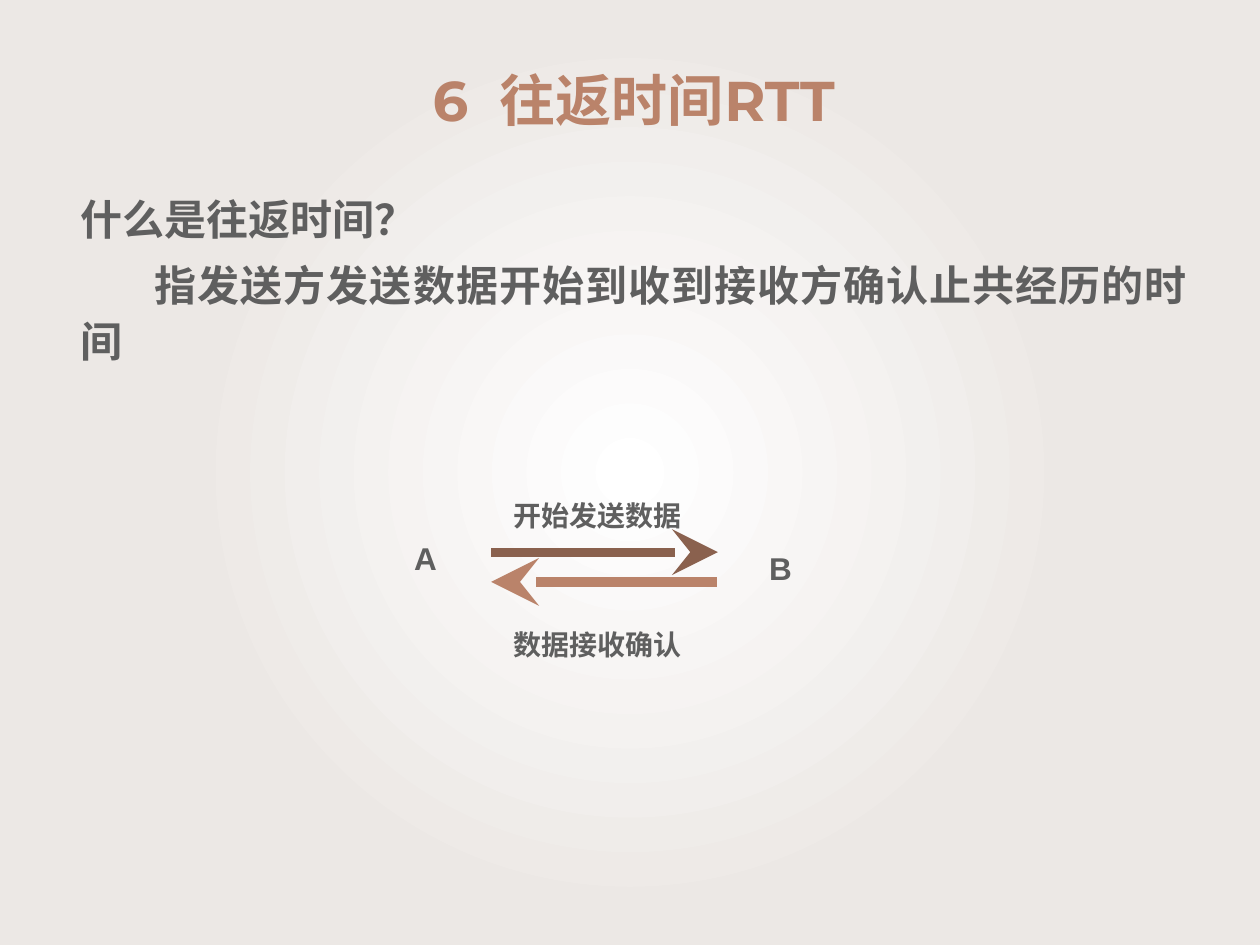
from dataclasses import dataclass

from lxml import etree
from pptx import Presentation
from pptx import util as u
from pptx.dml.color import RGBColor
from pptx.enum import shapes, text
from pptx.oxml.ns import qn

GREY, COPPER, BROWN = "5F5F5F", "BA836A", "8A614E"
ALIGN = text.PP_ALIGN


@dataclass
class Run:
    text: str
    spacing: int = 0


@dataclass
class Para:
    runs: list[Run]
    before: float = 0
    indent: float = 0


@dataclass
class Box:
    left: float
    top: float
    width: float
    height: float
    paras: list[Para]
    size: float
    line_spacing: float = 1.3
    align: ALIGN = ALIGN.LEFT
    font: str = "Arial"
    color: str = GREY
    anchor: text.MSO_ANCHOR = text.MSO_ANCHOR.TOP


@dataclass
class Arrow:
    start: float
    end: float
    y: float
    color: str
    width: float


def rgb(value: str) -> RGBColor:
    return RGBColor.from_string(value)


def draw_background(s, width: int, height: int) -> None:
    sp = s.shapes.add_shape(shapes.MSO_SHAPE.RECTANGLE, 0, 0, width, height)
    sp.shadow.inherit = False
    sp.line.fill.background()
    sp.fill.gradient()
    for stop, (position, color) in zip(
        sp.fill.gradient_stops, [(0, "FFFFFF"), (0.57, "ECE8E5")]
    ):
        stop.position = position
        stop.color.rgb = rgb(color)
    grad = sp.element.spPr.find(qn("a:gradFill"))
    grad.remove(grad.find(qn("a:lin")))
    circle = etree.SubElement(grad, qn("a:path"), path="circle")
    sides = dict.fromkeys("ltrb", "50000")
    etree.SubElement(circle, qn("a:fillToRect"), sides)


def draw_box(s, box: Box) -> None:
    place = [u.Cm(v) for v in (box.left, box.top, box.width, box.height)]
    tf = s.shapes.add_textbox(*place).text_frame
    tf.word_wrap = True
    tf.vertical_anchor = box.anchor
    for i, para in enumerate(box.paras):
        p = tf.add_paragraph() if i else tf.paragraphs[0]
        p.alignment = box.align
        p.line_spacing = box.line_spacing
        p.space_before = u.Pt(para.before)
        if para.indent:
            p._p.get_or_add_pPr().set("indent", str(u.Cm(para.indent)))
        for run in para.runs:
            r = p.add_run()
            r.text = run.text
            r.font.name = box.font
            r.font.size = u.Pt(box.size)
            r.font.bold = True
            r.font.color.rgb = rgb(box.color)
            if run.spacing:
                r.font._element.set("spc", str(run.spacing))


def draw_arrow(s, arrow: Arrow) -> None:
    y = u.Cm(arrow.y)
    c = s.shapes.add_connector(
        shapes.MSO_CONNECTOR.STRAIGHT, u.Cm(arrow.start), y, u.Cm(arrow.end), y
    )
    c.line.color.rgb = rgb(arrow.color)
    c.line.width = u.Pt(arrow.width)
    etree.SubElement(
        c.line._get_or_add_ln(), qn("a:tailEnd"), type="stealth", w="lg", len="lg"
    )
    etree.SubElement(c.element.spPr, qn("a:effectLst"))


def label(left: float, top: float, width: float, height: float,
          words: str, size: float, align: ALIGN = ALIGN.LEFT) -> Box:
    return Box(left, top, width, height, [Para([Run(words)])], size, align=align)


BOXES = [
    Box(1.37, 0.56, 22.81, 2.59,
        [Para([Run("6"), Run(" ", 900), Run("往返时间RTT")])],
        32, 1.2, ALIGN.CENTER, "Montserrat", COPPER, text.MSO_ANCHOR.MIDDLE),
    Box(1.37, 3.68, 22.81, 4.75,
        [Para([Run("什么是往返时间？")]),
         Para([Run("指发送方发送数据开始到收到接收方确认止共经历的时间")], 6, 1.5)],
        24, 1.1, ALIGN.JUSTIFY),
    label(8.1, 10.52, 0.97, 1.24, "A", 18),
    label(14.91, 10.72, 1.65, 1.24, "B", 18, ALIGN.CENTER),
    label(10.11, 9.73, 4.9, 1.14, "开始发送数据", 16),
    label(10.11, 12.32, 5.1, 1.14, "数据接收确认", 16),
]
ARROWS = [
    Arrow(9.9, 14.47, 11.13, BROWN, 5.25),
    Arrow(14.45, 9.9, 11.73, COPPER, 5.5),
]


def main() -> None:
    prs = Presentation()
    prs.slide_width, prs.slide_height = u.Cm(25.4), u.Cm(19.05)
    s = prs.slides.add_slide(prs.slide_layouts[6])
    draw_background(s, prs.slide_width, prs.slide_height)
    for arrow in ARROWS:
        draw_arrow(s, arrow)
    for box in BOXES:
        draw_box(s, box)
    prs.save("out.pptx")


if __name__ == "__main__":
    main()
